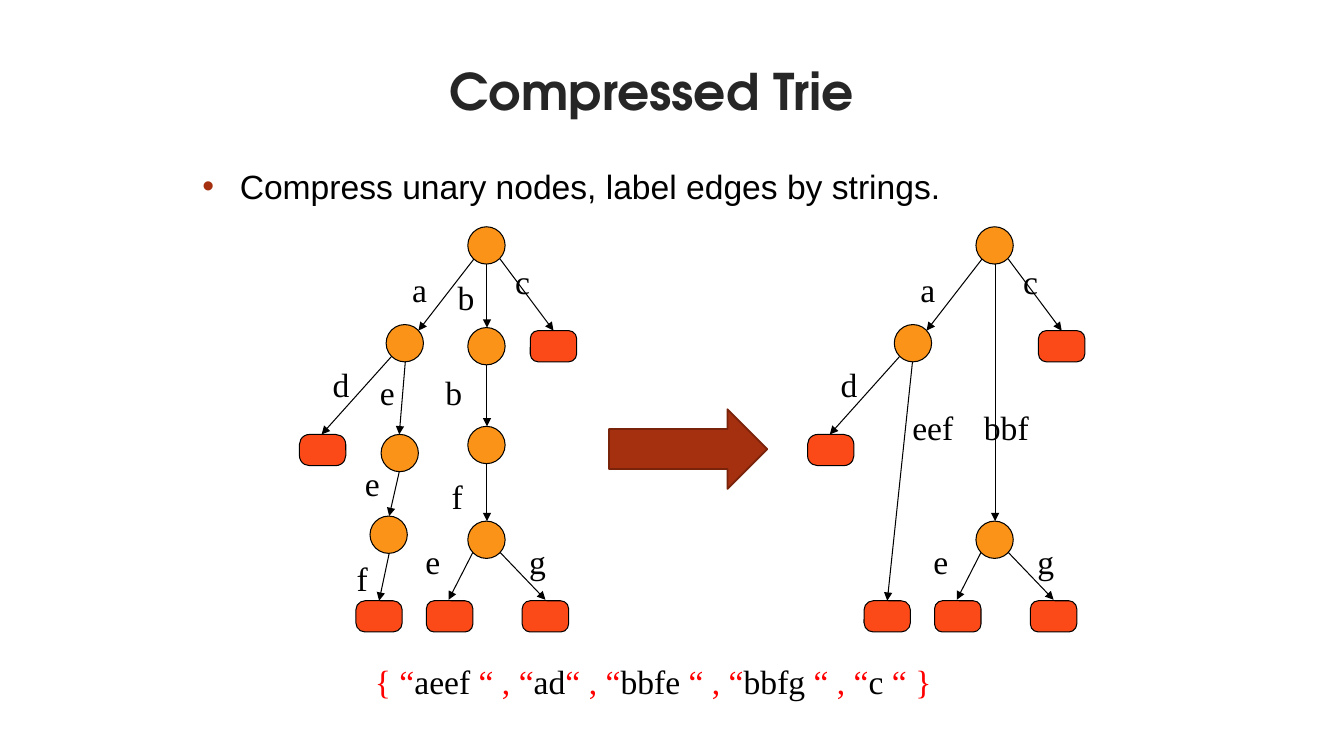
from lxml import etree
from pptx import Presentation
from pptx.dml.color import RGBColor
from pptx.enum.shapes import MSO_CONNECTOR, MSO_SHAPE
from pptx.enum.text import MSO_ANCHOR, PP_ALIGN
from pptx.oxml.ns import qn
from pptx.util import Inches, Pt

BLACK = RGBColor(0x00, 0x00, 0x00)
RED = RGBColor(0xFF, 0x00, 0x00)
TITLE_GREY = RGBColor(0x26, 0x26, 0x26)
ORANGE = RGBColor(0xFB, 0x93, 0x18)
LEAF_RED = RGBColor(0xFB, 0x4A, 0x18)
RUST = RGBColor(0xA5, 0x30, 0x10)
DARK_RUST = RGBColor(0x7A, 0x23, 0x0B)

SERIF = "Times New Roman"
TREE_SHIFT = 5.04

# Parts found in both tries, placed as in the left one
SHARED_NODES = [(4.64, 2.25), (3.83, 3.22), (4.64, 5.17)]
LEAVES = [(3.53, 5.96, 0.297), (4.23, 5.96, 0.25), (5.18, 5.96, 0.255),
          (5.26, 3.28, 0.255), (2.97, 4.31, 0.323)]
SHARED_EDGES = [(4.7, 2.57, 4.15, 3.28), (4.96, 2.57, 5.49, 3.28),
                (3.88, 3.54, 3.19, 4.31), (4.69, 5.48, 4.45, 5.95),
                (4.96, 5.48, 5.41, 5.95)]
SHARED_LABELS = [("a", 3.99, 2.62, 0.31), ("c", 5.01, 2.54, 0.5),
                 ("d", 3.2, 3.56, 0.39), ("e", 4.12, 5.32, 0.42),
                 ("g", 5.15, 5.32, 0.42)]

# Unary chains of the plain trie
UNARY_NODES = [(4.64, 3.25), (4.64, 4.23), (3.78, 4.31), (3.67, 5.12)]
UNARY_EDGES = [(4.83, 2.62, 4.83, 3.25), (4.83, 3.62, 4.83, 4.23),
               (4.83, 4.6, 4.83, 5.17), (4.02, 3.59, 3.96, 4.31),
               (3.96, 4.68, 3.86, 5.12), (3.86, 5.49, 3.76, 5.96)]
UNARY_LABELS = [("b", 4.44, 2.7, 0.42), ("b", 4.32, 3.64, 0.42),
                ("f", 4.38, 4.67, 0.42), ("e", 3.67, 3.64, 0.36),
                ("e", 3.52, 4.54, 0.36), ("f", 3.44, 5.49, 0.27)]

# Edges that replace those chains
STRING_EDGES = [(4.83, 2.62, 4.83, 5.17), (4.01, 3.59, 3.76, 5.96)]
STRING_LABELS = [("eef", 3.91, 3.99, 0.63), ("bbf", 4.62, 3.99, 0.79)]

WORD_SET = ["{ “", "aeef", " “ , “", "ad", "“ , “", "bbfe", " “ , “",
            "bbfg", " “ , “", "c", " “ }"]


class TrieSlide:
    def __init__(self, prs):
        self.s = prs.slides.add_slide(prs.slide_layouts[6])

    def shape(self, kind, x, y, w, h, fill, line=BLACK, weight=0.75):
        sp = self.s.shapes.add_shape(kind, Inches(x), Inches(y), Inches(w), Inches(h))
        sp.shadow.inherit = False
        sp.fill.solid()
        sp.fill.fore_color.rgb = fill
        sp.line.color.rgb = line
        sp.line.width = Pt(weight)
        return sp

    def edge(self, x1, y1, x2, y2):
        c = self.s.shapes.add_connector(MSO_CONNECTOR.STRAIGHT, Inches(x1), Inches(y1),
                                        Inches(x2), Inches(y2))
        c.line.color.rgb = BLACK
        c.line.width = Pt(0.75)
        etree.SubElement(c.line._get_or_add_ln(), qn("a:tailEnd"), type="triangle")
        etree.SubElement(c._element.spPr, qn("a:effectLst"))

    def text(self, parts, x, y, w, h=0.5, font=SERIF, size=24, anchor=MSO_ANCHOR.TOP):
        """Add a one-paragraph box from (text, colour) parts and return the paragraph."""
        tf = self.s.shapes.add_textbox(Inches(x), Inches(y), Inches(w), Inches(h)).text_frame
        tf.word_wrap = True
        tf.vertical_anchor = anchor
        p = tf.paragraphs[0]
        for words, color in parts:
            r = p.add_run()
            r.text = words
            r.font.name = font
            r.font.size = Pt(size)
            r.font.color.rgb = color
        return p

    def title(self, words):
        p = self.text([(words, TITLE_GREY)], 1.59, 0.55, 9.75, 1.4, "TeX Gyre Adventor", 36)
        p.alignment = PP_ALIGN.CENTER
        p.runs[0].font.bold = True

    def bullet(self, words):
        p = self.text([(words, BLACK)], 1.9, 1.57, 8.33, 0.55, "Arial",
                      anchor=MSO_ANCHOR.MIDDLE)
        pPr = p._p.get_or_add_pPr()
        pPr.set("marL", str(Inches(0.38)))
        pPr.set("indent", str(Inches(-0.37)))
        color = etree.SubElement(pPr, qn("a:buClr"))
        etree.SubElement(color, qn("a:srgbClr"), val=str(RUST))
        etree.SubElement(pPr, qn("a:buFont"), typeface="Arial")
        etree.SubElement(pPr, qn("a:buChar"), char="•")

    def trie(self, dx, nodes, edges, labels):
        """Draw the shared tree plus the given parts, moved right by dx."""
        for x1, y1, x2, y2 in SHARED_EDGES + edges:
            self.edge(x1 + dx, y1, x2 + dx, y2)
        for x, y in SHARED_NODES + nodes:
            self.shape(MSO_SHAPE.OVAL, x + dx, y, 0.37, 0.37, ORANGE)
        for x, y, corner in LEAVES:
            leaf = self.shape(MSO_SHAPE.ROUNDED_RECTANGLE, x + dx, y, 0.46, 0.31, LEAF_RED)
            leaf.adjustments[0] = corner
        for words, x, y, w in SHARED_LABELS + labels:
            self.text([(words, BLACK)], x + dx, y, w)


def main():
    prs = Presentation()
    prs.slide_width = Inches(13.33)
    prs.slide_height = Inches(7.5)
    slide = TrieSlide(prs)
    slide.title("Compressed Trie")
    slide.bullet("Compress unary nodes, label edges by strings.")
    slide.trie(0, UNARY_NODES, UNARY_EDGES, UNARY_LABELS)
    slide.trie(TREE_SHIFT, [], STRING_EDGES, STRING_LABELS)
    slide.shape(MSO_SHAPE.RIGHT_ARROW, 6.04, 4.06, 1.57, 0.79, RUST, DARK_RUST, 1.25)
    slide.text([(words, BLACK if i % 2 else RED) for i, words in enumerate(WORD_SET)],
               3.62, 6.51, 5.91)
    prs.save("out.pptx")


if __name__ == "__main__":
    main()
